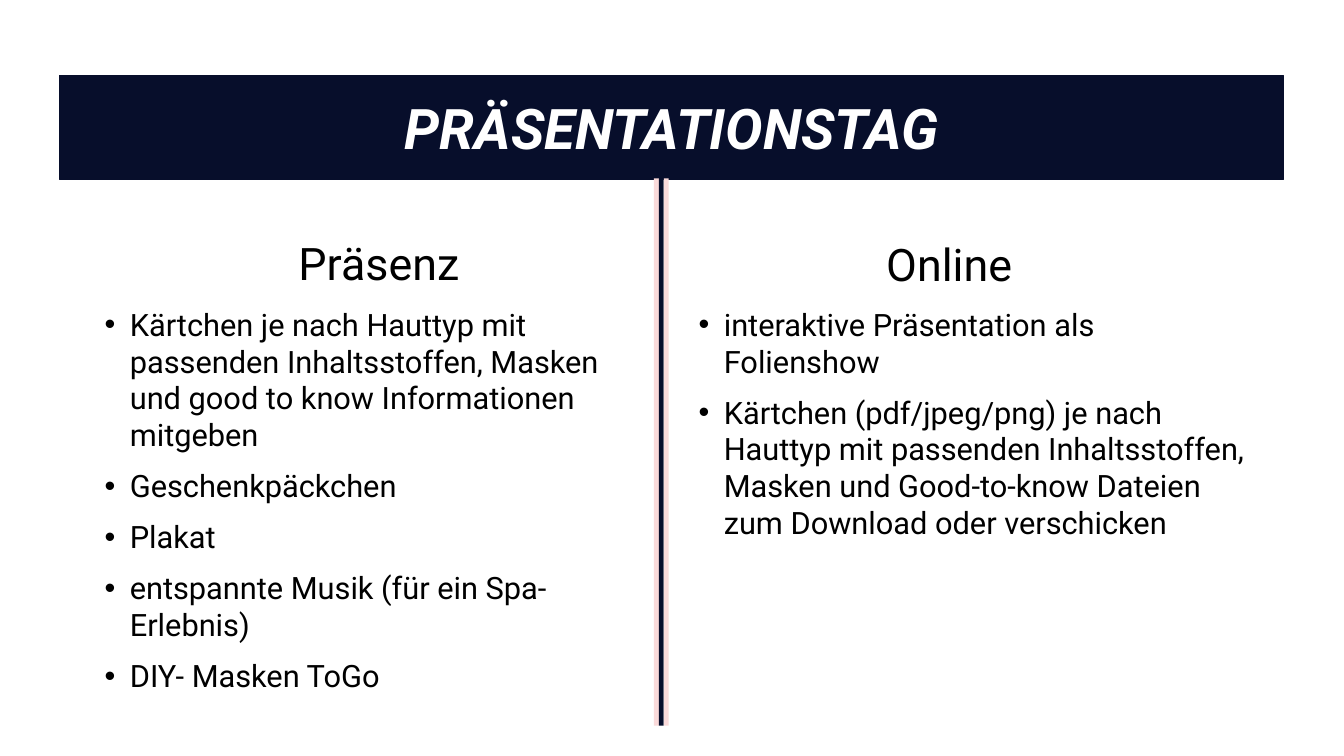
from dataclasses import dataclass

from lxml.etree import SubElement
from pptx import Presentation
from pptx.dml.color import RGBColor
from pptx.enum.shapes import MSO_SHAPE as Shape
from pptx.enum.text import MSO_ANCHOR as Anchor, PP_ALIGN as Align
from pptx.oxml.ns import qn
from pptx.util import Inches, Pt

NAVY = RGBColor(0x07, 0x0E, 0x2B)
PINK = RGBColor(0xFA, 0xDA, 0xDA)
WHITE = RGBColor(0xFF, 0xFF, 0xFF)
BLACK = RGBColor(0x00, 0x00, 0x00)
FONT = "Roboto"

deck = Presentation()
deck.slide_width, deck.slide_height = Inches(13.33), Inches(7.5)
slide = deck.slides.add_slide(deck.slide_layouts[6])


@dataclass
class Box:
    """Place and size in percent of the slide."""
    left: float
    top: float
    width: float
    height: float

    def emu(self) -> tuple[int, ...]:
        wide, high = deck.slide_width / 100, deck.slide_height / 100
        return (round(self.left * wide), round(self.top * high),
                round(self.width * wide), round(self.height * high))


@dataclass
class Column:
    title: str
    head: Box
    body: Box
    items: list[str]


def add_bar(box: Box, color: RGBColor, edge: bool = False) -> None:
    bar = slide.shapes.add_shape(Shape.RECTANGLE, *box.emu())
    bar.shadow.inherit = False
    bar.fill.solid()
    bar.fill.fore_color.rgb = color
    if edge:
        bar.line.color.rgb = color
        bar.line.width = Pt(1)
    else:
        bar.line.fill.background()


def add_text(box: Box, lines: list[str], size: float, color: RGBColor = BLACK,
             anchor: Anchor = Anchor.TOP, strong: bool = False,
             bullet: bool = False, gap: float = 0, pitch: float = 1) -> None:
    frame = slide.shapes.add_textbox(*box.emu()).text_frame
    frame.word_wrap = True
    frame.vertical_anchor = anchor
    for num, line in enumerate(lines):
        para = frame.add_paragraph() if num else frame.paragraphs[0]
        para.alignment = Align.LEFT if bullet else Align.CENTER
        para.space_before = Pt(gap)
        para.line_spacing = pitch
        if bullet:
            props = para._p.get_or_add_pPr()
            props.set("marL", str(Inches(0.25)))
            props.set("indent", str(-Inches(0.25)))
            SubElement(props, qn("a:buFont")).set("typeface", "Arial")
            SubElement(props, qn("a:buChar")).set("char", "•")
        run = para.add_run()
        run.text = line
        font = run.font
        font.name, font.size = FONT, Pt(size)
        font.bold = font.italic = strong
        font.color.rgb = color


# Two columns: heading above a bulleted list
COLUMNS = [
    Column("Präsenz", Box(7.05, 27.1, 42.3, 12), Box(7.05, 39.73, 42.3, 53.07), [
        "Kärtchen je nach Hauttyp mit passenden Inhaltsstoffen, Masken "
        "und good to know Informationen mitgeben",
        "Geschenkpäckchen",
        "Plakat",
        "entspannte Musik (für ein Spa- Erlebnis)",
        "DIY- Masken ToGo",
    ]),
    Column("Online", Box(49.36, 27.2, 42.54, 12), Box(51.24, 39.73, 42.54, 46.67), [
        "interaktive Präsentation als Folienshow",
        "Kärtchen (pdf/jpeg/png) je nach Hauttyp mit passenden Inhaltsstoffen, "
        "Masken und Good-to-know Dateien zum Download oder verschicken",
    ]),
]
for col in COLUMNS:
    add_text(col.head, [col.title], 32, anchor=Anchor.BOTTOM, gap=10, pitch=0.9)
    add_text(col.body, col.items, 22, bullet=True, gap=10)

# Title banner
add_bar(Box(4.43, 10, 91.07, 13.73), NAVY, edge=True)
add_text(Box(4.43, 11.73, 91.07, 10.27), ["PRÄSENTATIONSTAG"], 40, WHITE, strong=True)

# Striped divider
STRIPE = 0.37
for pos, tint in enumerate((PINK, NAVY, PINK)):
    add_bar(Box(48.65 + pos * STRIPE, 23.6, STRIPE, 72.4), tint)

deck.save("out.pptx")
